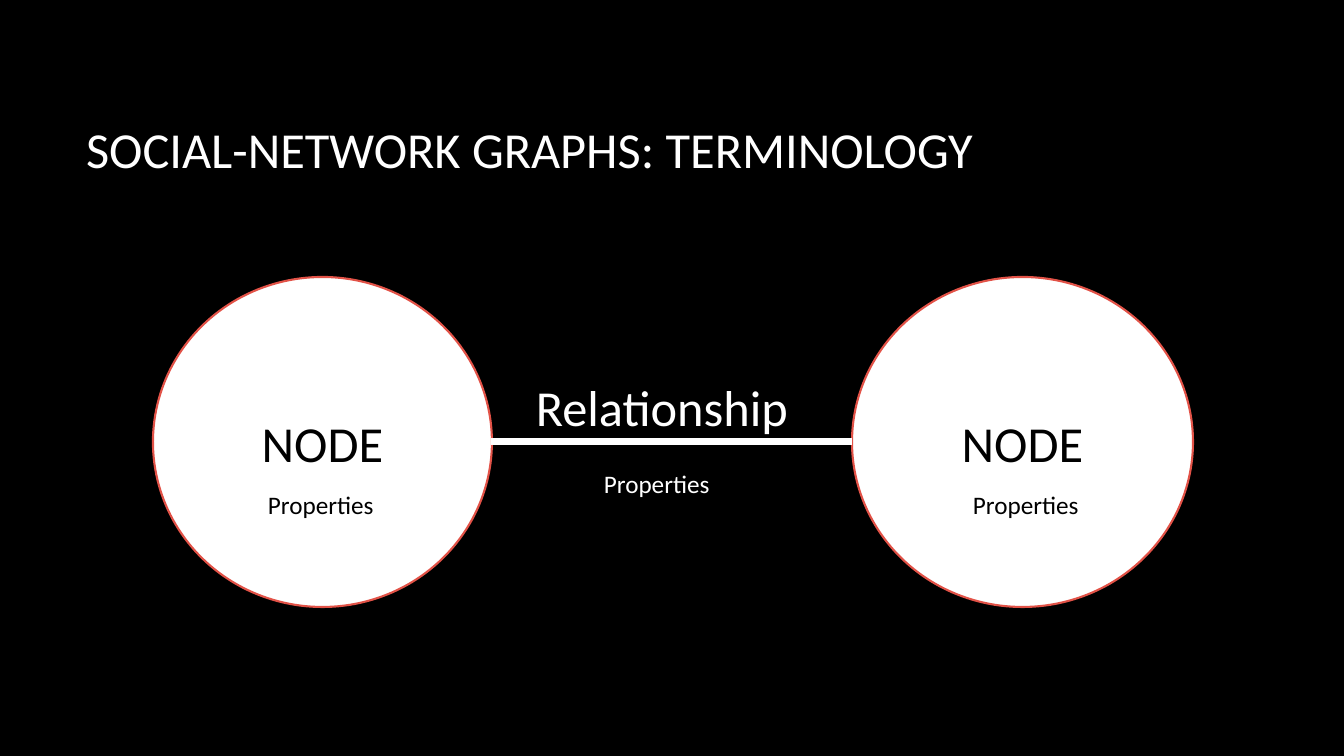
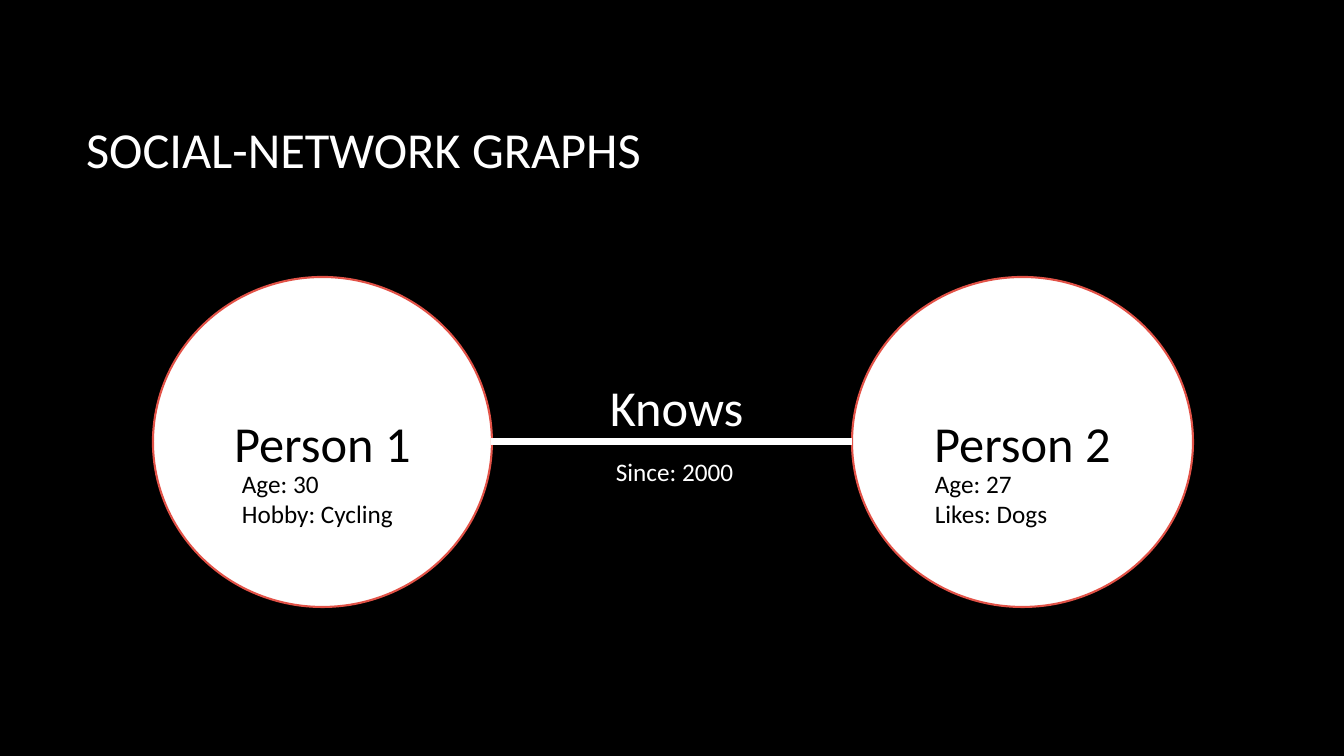
from pptx import Presentation
from pptx.dml.color import RGBColor
from pptx.enum.shapes import MSO_CONNECTOR, MSO_SHAPE
from pptx.enum.text import MSO_ANCHOR, MSO_AUTO_SIZE, PP_ALIGN
from pptx.oxml.ns import qn
from pptx.util import Emu, Pt
from lxml import etree

COLORS = {"black": "000000", "white": "FFFFFF", "outline": "E25247"}
FONT = "Calibri"
LARGE, SMALL = 36, 18
EMU_PER_PIXEL = 914400 / 100.8


def px(*lengths):
    return [Emu(round(length * EMU_PER_PIXEL)) for length in lengths]


def write(shape, text, size=SMALL, color="white", align=PP_ALIGN.LEFT,
          anchor=MSO_ANCHOR.TOP, wrap=True, fit=MSO_AUTO_SIZE.NONE):
    frame = shape.text_frame
    frame.text = text
    frame.word_wrap = wrap
    frame.auto_size = fit
    frame.vertical_anchor = anchor
    for paragraph in frame.paragraphs:
        paragraph.alignment = align
        paragraph.font.name = FONT
        paragraph.font.size = Pt(size)
        paragraph.font.color.rgb = RGBColor.from_string(COLORS[color])


# Shared geometry: left, top, width, height
TITLE_BOX = (76, 68, 1117, 160)
NODE_BOXES = [(153, 277, 339, 330), (852, 277, 341, 330)]
EDGE = (491, 442, 852, 442)

# Each label: text, box, format
SLIDES = [
    {
        "title": "SOCIAL-NETWORK GRAPHS: TERMINOLOGY",
        "nodes": ["NODE", "NODE"],
        "labels": [
            ("Relationship", (526, 371, 290, 72), {"size": LARGE}),
            ("Properties", (594, 463, 127, 40), {"wrap": False}),
            ("Properties", (258, 484, 156, 40), {"color": "black"}),
            ("Properties", (963, 484, 156, 40), {"color": "black"}),
        ],
    },
    {
        "title": "SOCIAL-NETWORK GRAPHS",
        "nodes": ["Person 1", "Person 2"],
        "labels": [
            ("Knows", (600, 371, 290, 72), {"size": LARGE}),
            ("Since: 2000", (606, 451, 139, 40), {"wrap": False}),
            ("Age: 30\nHobby: Cycling", (232, 463, 194, 102), {"color": "black"}),
            ("Age: 27\nLikes: Dogs", (925, 463, 194, 102), {"color": "black"}),
        ],
    },
]

presentation = Presentation()
presentation.slide_width, presentation.slide_height = px(1344, 756)

# Black background for every slide
background = presentation.slide_master.background.fill
background.solid()
background.fore_color.rgb = RGBColor.from_string(COLORS["black"])
title_only = presentation.slide_layouts[5]

for content in SLIDES:
    slide = presentation.slides.add_slide(title_only)

    # Title
    title = slide.shapes.title
    title.left, title.top, title.width, title.height = px(*TITLE_BOX)
    write(title, content["title"], size=LARGE, anchor=MSO_ANCHOR.MIDDLE)

    # Nodes
    for name, box in zip(content["nodes"], NODE_BOXES):
        node = slide.shapes.add_shape(MSO_SHAPE.OVAL, *px(*box))
        node.shadow.inherit = False
        node.fill.solid()
        node.fill.fore_color.rgb = RGBColor.from_string(COLORS["white"])
        node.line.color.rgb = RGBColor.from_string(COLORS["outline"])
        node.line.width = Pt(1.5)
        write(node, name, size=LARGE, color="black",
              align=PP_ALIGN.CENTER, anchor=MSO_ANCHOR.MIDDLE)

    # Relationship line
    edge = slide.shapes.add_connector(MSO_CONNECTOR.STRAIGHT, *px(*EDGE))
    edge.line.color.rgb = RGBColor.from_string(COLORS["white"])
    edge.line.width = Pt(5)
    etree.SubElement(edge._element.spPr, qn("a:effectLst"))

    # Relationship and property labels
    for text, box, style in content["labels"]:
        label = slide.shapes.add_textbox(*px(*box))
        write(label, text, fit=MSO_AUTO_SIZE.SHAPE_TO_FIT_TEXT, **style)

presentation.save("out.pptx")
